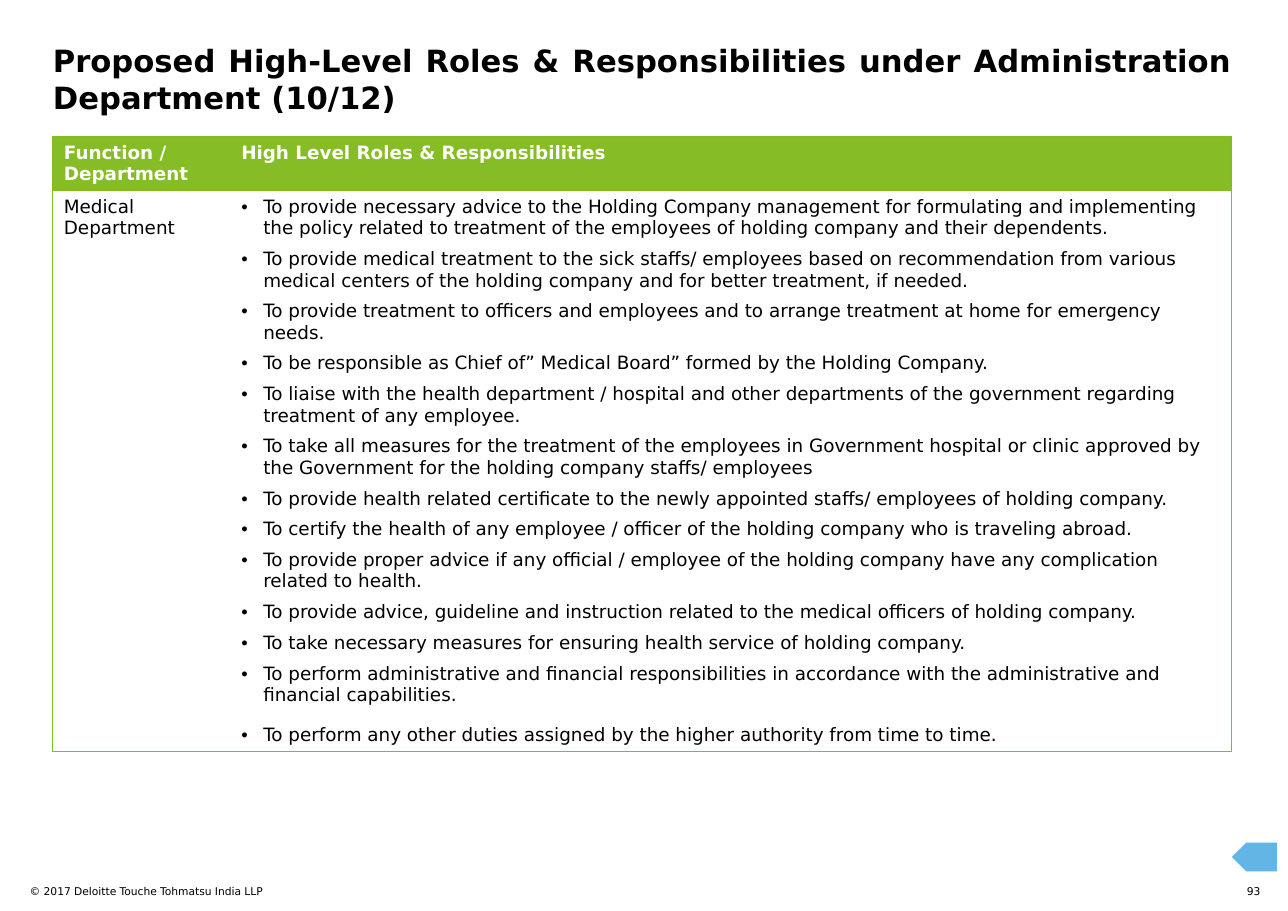
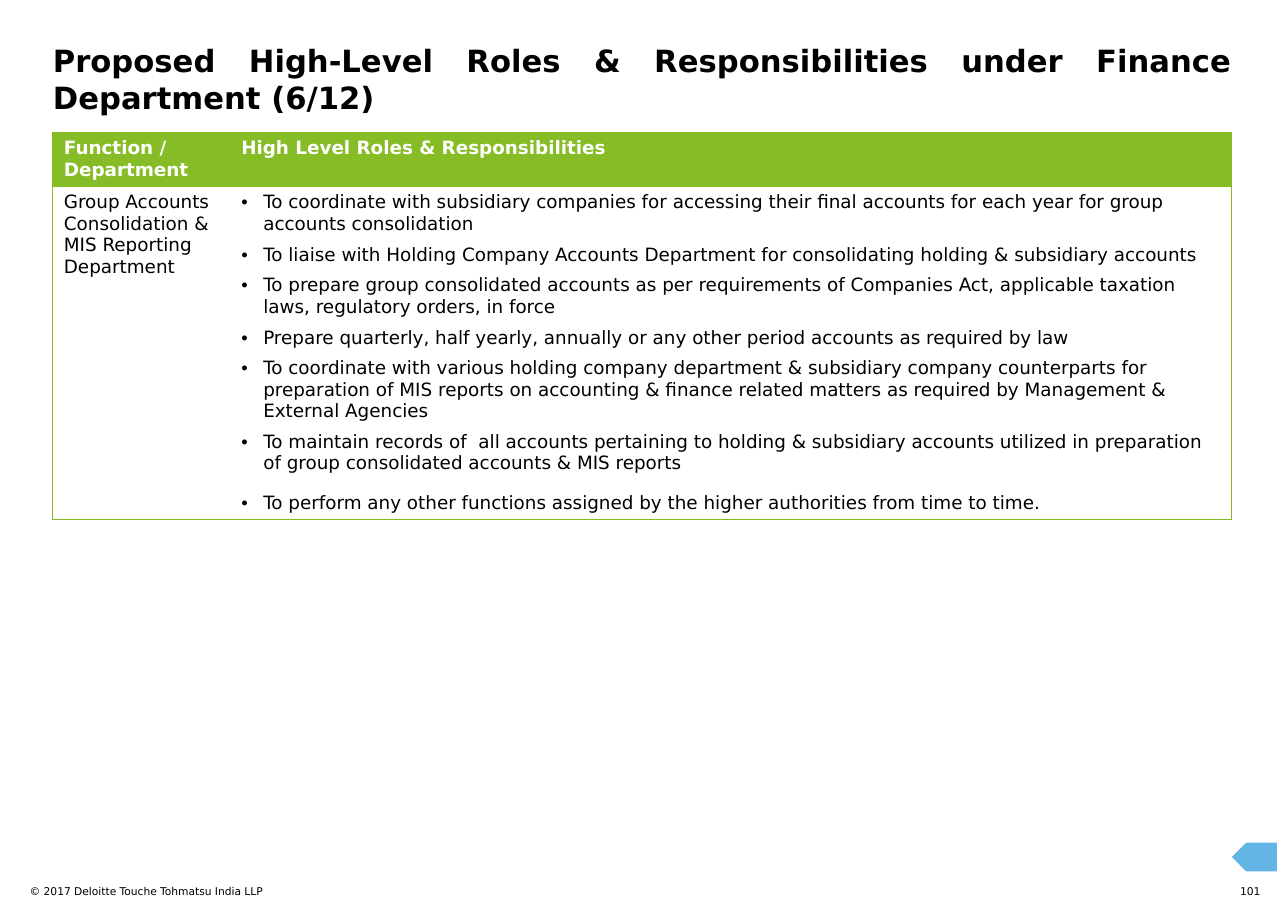
from dataclasses import dataclass

from lxml import etree
from pptx import Presentation
from pptx import util as u
from pptx.dml.color import RGBColor
from pptx.enum import shapes, text
from pptx.oxml.ns import qn


@dataclass(frozen=True)
class Theme:
    font: str = "DejaVu Sans"
    black: str = "000000"
    white: str = "FFFFFF"
    green: str = "86BC25"
    border: str = "84BC20"
    blue: str = "62B5E5"
    title: int = 20
    body: int = 12
    footer: int = 7
    rule: float = 0.75
    gap: int = 6


T = Theme()
WIDTH, HEIGHT = 11.69, 8.27
LEFT, CONTENT_W = 0.48, 10.7
COLUMNS = (1.61, 9.09)
HEADER_H = 0.49
NO_GRID = "{2D5ABB26-0587-4C30-8999-92F81FD0307C}"
COPYRIGHT = "© 2017 Deloitte Touche Tohmatsu India LLP"
HEADINGS = ("Function / Department", "High Level Roles & Responsibilities")
ALIGN = text.PP_ALIGN

PAGES = [
    dict(
        title="Proposed High-Level Roles & Responsibilities under Administration Department (10/12)",
        number="93",
        box=(LEFT, 1.24, CONTENT_W, 5.58),
        department="Medical Department",
        roles=[
            "To provide necessary advice to the Holding Company management for formulating and "
            "implementing the policy related to treatment of the employees of holding company "
            "and their dependents.",
            "To provide medical treatment to the sick staffs/ employees based on recommendation "
            "from various medical centers of the holding company and for better treatment, if needed.",
            "To provide treatment to officers and employees and to arrange treatment at home for "
            "emergency needs.",
            "To be responsible as Chief of” Medical Board” formed by the Holding Company.",
            "To liaise with the health department / hospital and other departments of the "
            "government regarding treatment of any employee.",
            "To take all measures for the treatment of the employees in Government hospital or "
            "clinic approved by the Government for the holding company staffs/ employees",
            "To provide health related certificate to the newly appointed staffs/ employees of "
            "holding company.",
            "To certify the health of any employee / officer of the holding company who is "
            "traveling abroad.",
            "To provide proper advice if any official / employee of the holding company have any "
            "complication related to health.",
            "To provide advice, guideline and instruction related to the medical officers of "
            "holding company.",
            "To take necessary measures for ensuring health service of holding company.",
            "To perform administrative and financial responsibilities in accordance with the "
            "administrative and financial capabilities.",
            "To perform any other duties assigned by the higher authority from time to time.",
        ],
    ),
    dict(
        title="Proposed High-Level Roles & Responsibilities under Finance Department (6/12)",
        number="101",
        box=(LEFT, 1.2, CONTENT_W, 3.51),
        department="Group Accounts Consolidation & MIS Reporting Department",
        roles=[
            "To coordinate with subsidiary companies for accessing their final accounts for each "
            "year for group accounts consolidation",
            "To liaise with Holding Company Accounts Department for consolidating holding & "
            "subsidiary accounts",
            "To prepare group consolidated accounts as per requirements of Companies Act, "
            "applicable taxation laws, regulatory orders, in force",
            "Prepare quarterly, half yearly, annually or any other period accounts as required by law",
            "To coordinate with various holding company department & subsidiary company "
            "counterparts for preparation of MIS reports on accounting & finance related matters "
            "as required by Management & External Agencies",
            "To maintain records of  all accounts pertaining to holding & subsidiary accounts "
            "utilized in preparation of group consolidated accounts & MIS reports",
            "To perform any other functions assigned by the higher authorities from time to time.",
        ],
    ),
]


def inches(box):
    return [u.Inches(v) for v in box]


def write(p, content, size=T.body, color=T.black, bold=False, align=ALIGN.LEFT,
          before=0, after=0, bullet=False):
    """Put formatted text in a paragraph."""
    if bullet:
        pPr = p._p.get_or_add_pPr()
        pPr.set("marL", str(u.Inches(0.2)))
        pPr.set("indent", str(u.Inches(-0.2)))
        etree.SubElement(pPr, qn("a:buFont")).set("typeface", "Arial")
        etree.SubElement(pPr, qn("a:buChar")).set("char", "•")
    p.alignment = align
    p.space_before, p.space_after = u.Pt(before), u.Pt(after)
    r = p.add_run()
    r.text = content
    r.font.name, r.font.size, r.font.bold = T.font, u.Pt(size), bold
    r.font.color.rgb = RGBColor.from_string(color)


def plain_frame(sp):
    """Wrapping text frame without margins, anchored at the top."""
    tf = sp.text_frame
    tf.margin_left = tf.margin_top = tf.margin_right = tf.margin_bottom = 0
    tf.word_wrap = True
    tf.auto_size = text.MSO_AUTO_SIZE.NONE
    tf.vertical_anchor = text.MSO_ANCHOR.TOP
    return tf


def add_title(s, content, box):
    sp = s.shapes.title
    sp.left, sp.top, sp.width, sp.height = inches(box)
    write(plain_frame(sp).paragraphs[0], content, size=T.title, bold=True, align=ALIGN.JUSTIFY)


def add_footer(s, number, box):
    """Copyright at the left of the box, page number at its right."""
    x, y, w, h = box
    number_w = 0.3
    for content, left, width, align in (
        (COPYRIGHT, x, 5.13, ALIGN.LEFT),
        (number, x + w - number_w, number_w, ALIGN.RIGHT),
    ):
        sp = s.shapes.add_textbox(*inches((left, y, width, h)))
        write(plain_frame(sp).paragraphs[0], content, size=T.footer, align=align)


def add_back_arrow(s, box):
    sp = s.shapes.add_shape(shapes.MSO_SHAPE.PENTAGON, *inches(box))
    sp.rotation = 180
    sp.shadow.inherit = False
    sp.fill.solid()
    sp.fill.fore_color.rgb = RGBColor.from_string(T.blue)
    sp.line.fill.background()


def set_borders(cell, sides):
    """Draw the named sides; borders come before the fill in the cell."""
    tcPr = cell._tc.get_or_add_tcPr()
    for i, side in enumerate(side for side in "LRTB" if side in sides):
        ln = etree.Element(qn("a:ln" + side), w=str(u.Pt(T.rule)))
        fill = etree.SubElement(ln, qn("a:solidFill"))
        etree.SubElement(fill, qn("a:srgbClr")).set("val", T.border)
        tcPr.insert(i, ln)


def add_roles_table(s, department, roles, box):
    frame = s.shapes.add_table(2, 2, *inches(box))
    table = frame.table
    table._tbl.tblPr.find(qn("a:tableStyleId")).text = NO_GRID
    for col, width in zip(table.columns, COLUMNS):
        col.width = u.Inches(width)
    for row, height in zip(table.rows, (HEADER_H, box[3] - HEADER_H)):
        row.height = u.Inches(height)

    # Header row
    for i, heading in enumerate(HEADINGS):
        cell = table.cell(0, i)
        cell.fill.solid()
        cell.fill.fore_color.rgb = RGBColor.from_string(T.green)
        write(cell.text_frame.paragraphs[0], heading, color=T.white, bold=True)

    # Department and its roles
    for i in range(2):
        table.cell(1, i).fill.background()
    write(table.cell(1, 0).text_frame.paragraphs[0], department)
    tf = table.cell(1, 1).text_frame
    for i, role in enumerate(roles):
        p = tf.add_paragraph() if i else tf.paragraphs[0]
        write(p, role, bullet=True, before=T.gap if i else 0,
              after=T.gap if i == len(roles) - 2 else 0)

    # Outer frame and the rule under the header
    for row, sides in enumerate(("TB", "TB")):
        for col, edge in enumerate("LR"):
            set_borders(table.cell(row, col), sides + edge)


def add_roles_slide(prs, title, number, box, department, roles):
    s = prs.slides.add_slide(prs.slide_layouts[5])
    add_footer(s, number, (0.27, 8.03, 11.17, 0.12))
    add_roles_table(s, department, roles, box)
    add_title(s, title, (LEFT, 0.38, CONTENT_W, 0.4))
    add_back_arrow(s, (LEFT + CONTENT_W, 7.65, 0.41, 0.26))


def main():
    prs = Presentation()
    prs.slide_width, prs.slide_height = inches((WIDTH, HEIGHT))
    for page in PAGES:
        add_roles_slide(prs, **page)
    prs.save("out.pptx")


if __name__ == "__main__":
    main()
